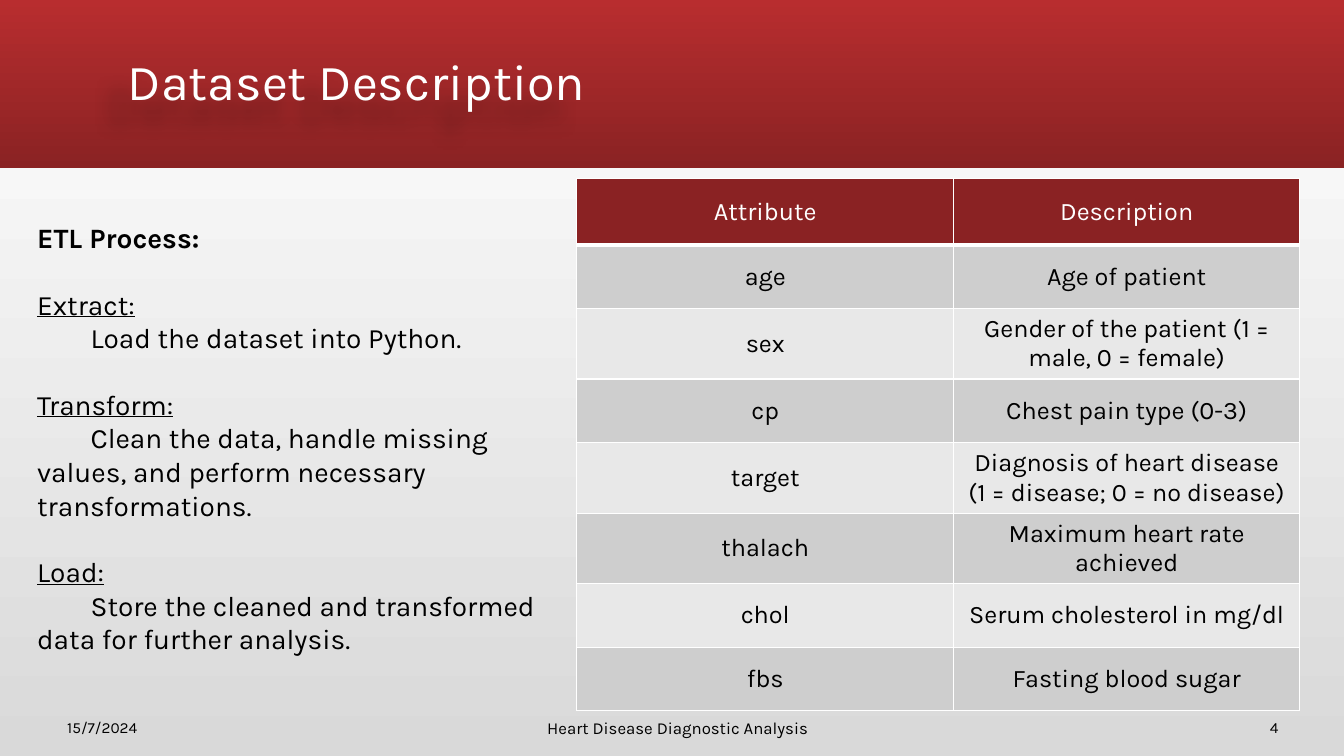
import dataclasses

import lxml.etree
import pptx
import pptx.dml.color
import pptx.enum.shapes
import pptx.enum.text
import pptx.oxml
import pptx.oxml.ns
import pptx.util

ALIGN = pptx.enum.text.PP_ALIGN
ANCHOR = pptx.enum.text.MSO_ANCHOR


@dataclasses.dataclass(frozen=True)
class Theme:
    font: str = "Karla"
    white: str = "FFFFFF"
    black: str = "000000"
    grey: str = "D9D9D9"
    red: str = "B82D2F"
    dark_red: str = "8A2223"
    bands: tuple = ("CECECE", "E8E8E8")
    title: int = 36
    body: int = 20
    table: int = 18
    footer: int = 12
    small: int = 11
    thin: int = 1
    thick: int = 3


def rgb(value):
    return pptx.dml.color.RGBColor.from_string(value)


def fill_gradient(fill, colors, angle):
    """Blend two colours; the angle runs counter-clockwise from left to right."""
    fill.gradient()
    fill.gradient_angle = angle
    for stop, color in zip(fill.gradient_stops, colors):
        stop.color.rgb = rgb(color)


class Page:
    """One slide; every place is given in percent of its width and height."""

    def __init__(self, deck, theme):
        self.deck, self.theme = deck, theme
        self.slide = deck.slides.add_slide(deck.slide_layouts[6])

    def across(self, share):
        return round(self.deck.slide_width * share / 100)

    def down(self, share):
        return round(self.deck.slide_height * share / 100)

    def place(self, left, top, width, height):
        return self.across(left), self.down(top), self.across(width), self.down(height)

    def background(self, colors):
        fill_gradient(self.slide.background.fill, colors, 90)

    def banner(self, place, colors):
        shape = self.slide.shapes.add_shape(
            pptx.enum.shapes.MSO_SHAPE.RECTANGLE, *self.place(*place))
        shape.shadow.inherit = False
        fill_gradient(shape.fill, colors, 270)
        shape.line.fill.background()

    def add_span(self, para, text, size, color, align=ALIGN.LEFT, bold=False, underline=False):
        para.alignment = align
        span = para.add_run()
        span.text = text
        font = span.font
        font.name, font.size = self.theme.font, pptx.util.Pt(size)
        font.bold, font.underline = bold, underline
        font.color.rgb = rgb(color)

    def frame(self, place, anchor=ANCHOR.MIDDLE):
        box = self.slide.shapes.add_textbox(*self.place(*place))
        box.text_frame.word_wrap = True
        box.text_frame.vertical_anchor = anchor
        return box

    def label(self, place, text, size, align=ALIGN.LEFT, anchor=ANCHOR.MIDDLE):
        box = self.frame(place, anchor)
        self.add_span(box.text_frame.paragraphs[0], text, size, self.theme.black, align)

    def title(self, place, text):
        box = self.frame(place)
        para = box.text_frame.paragraphs[0]
        para.line_spacing = 0.9
        self.add_span(para, text, self.theme.title, self.theme.white)
        box._element.spPr.append(pptx.oxml.parse_xml(
            f'<a:effectLst {pptx.oxml.ns.nsdecls("a")}>'
            '<a:outerShdw blurRad="150000" dist="280000" dir="8100000" algn="tr" rotWithShape="0">'
            f'<a:srgbClr val="{self.theme.black}"><a:alpha val="30000"/></a:srgbClr>'
            '</a:outerShdw></a:effectLst>'))

    def steps(self, place, heading, steps):
        """A bold heading, then underlined step names with indented texts."""
        size, color = self.theme.body, self.theme.black
        text_frame = self.frame(place).text_frame
        text_frame.margin_top = pptx.util.Inches(0.34)
        self.add_span(text_frame.paragraphs[0], heading, size, color, bold=True)
        for name, text in steps:
            para = text_frame.add_paragraph()
            para.space_before = pptx.util.Pt(23.4)
            self.add_span(para, name, size, color, underline=True)
            para = text_frame.add_paragraph()
            self.add_span(para, text, size, color)
            para._p.get_or_add_pPr().set("indent", str(pptx.util.Inches(0.53)))

    def border(self, cell, **widths):
        properties = cell._tc.get_or_add_tcPr()
        for side, width in widths.items():
            line = lxml.etree.SubElement(
                properties, pptx.oxml.ns.qn(f"a:ln{side}"), w=str(pptx.util.Pt(width)))
            solid = lxml.etree.SubElement(line, pptx.oxml.ns.qn("a:solidFill"))
            lxml.etree.SubElement(
                solid, pptx.oxml.ns.qn("a:srgbClr"), val=self.theme.white)

    def table(self, place, columns, header_height, row_height, rows):
        theme = self.theme
        table = self.slide.shapes.add_table(
            len(rows), len(columns), *self.place(*place)).table
        for column, width in zip(table.columns, columns):
            column.width = self.across(width)
        for index, texts in enumerate(rows):
            header = index == 0
            table.rows[index].height = self.down(header_height if header else row_height)
            fill = theme.dark_red if header else theme.bands[(index - 1) % 2]
            for number, text in enumerate(texts):
                cell = table.cell(index, number)
                cell.vertical_anchor = ANCHOR.MIDDLE
                self.border(cell, L=theme.thin, R=theme.thin,
                            T=theme.thick if index == 1 else theme.thin,
                            B=theme.thick if header else theme.thin)
                cell.fill.solid()
                cell.fill.fore_color.rgb = rgb(fill)
                self.add_span(cell.text_frame.paragraphs[0], text, theme.table,
                              theme.white if header else theme.black, ALIGN.CENTER)


STEPS = [
    ("Extract:", "Load the dataset into Python."),
    ("Transform:", "Clean the data, handle missing values, "
                   "and perform necessary transformations."),
    ("Load:", "Store the cleaned and transformed data for further analysis."),
]
ATTRIBUTES = [
    ("Attribute", "Description"),
    ("age", "Age of patient"),
    ("sex", "Gender of the patient (1 = male, 0 = female)"),
    ("cp", "Chest pain type (0-3)"),
    ("target", "Diagnosis of heart disease (1 = disease; 0 = no disease)"),
    ("thalach", "Maximum heart rate achieved"),
    ("chol", "Serum cholesterol in mg/dl"),
    ("fbs", "Fasting blood sugar"),
]


def main():
    deck = pptx.Presentation()
    deck.slide_width = pptx.util.Inches(13.33)
    deck.slide_height = pptx.util.Inches(7.5)
    theme = Theme()
    page = Page(deck, theme)
    page.background((theme.grey, theme.white))
    page.banner((0, 0, 100, 22.27), (theme.red, theme.dark_red))
    page.title((8.78, 1.47, 82.52, 19.33), "Dataset Description")
    page.steps((2.03, 24.13, 39.76, 63.73), "ETL Process:", STEPS)
    page.table((42.91, 23.6, 53.79, 67.6), (28.06, 25.73), 8.8, 8.4, ATTRIBUTES)
    page.label((2.18, 94.53, 8.78, 3.47), "15/7/2024", theme.small, ALIGN.RIGHT)
    page.label((88.97, 94.53, 6.9, 3.47), "4", theme.small, ALIGN.RIGHT)
    page.label((39.98, 94.27, 30.68, 4), "Heart Disease Diagnostic Analysis",
               theme.footer, anchor=ANCHOR.TOP)
    deck.save("out.pptx")


if __name__ == "__main__":
    main()
